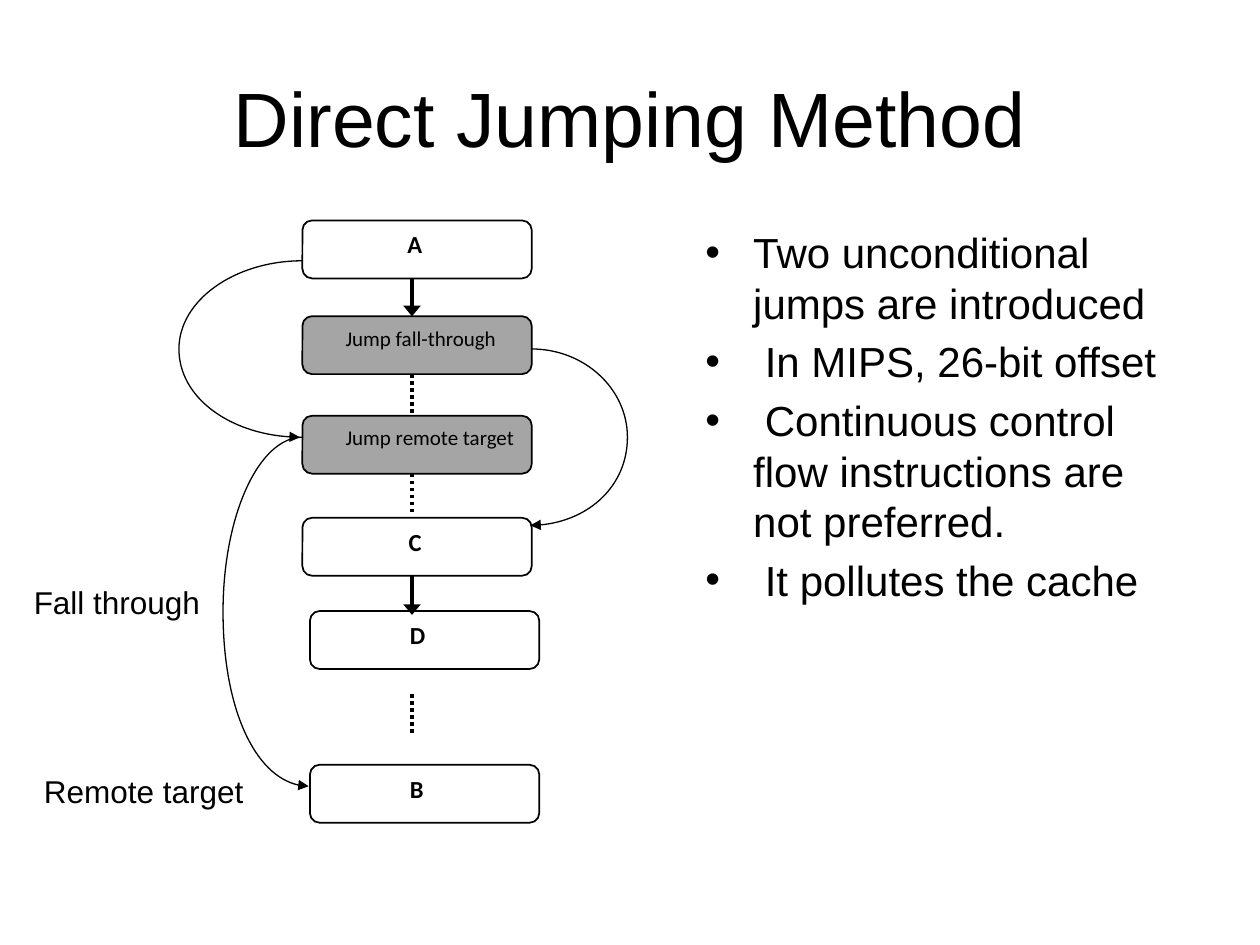
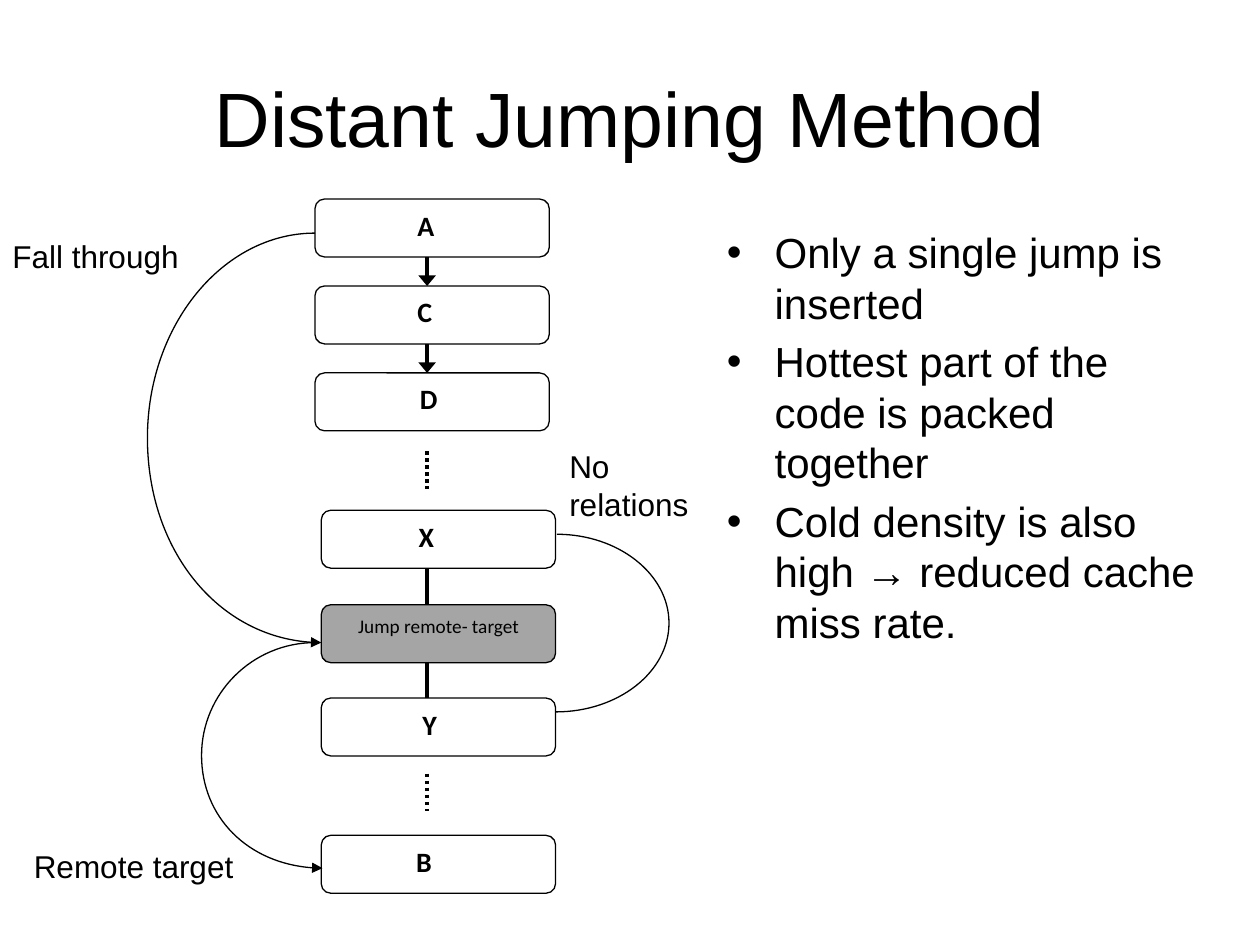
from dataclasses import dataclass

from lxml.etree import SubElement
from pptx import Presentation
from pptx.dml.color import RGBColor
from pptx.enum.dml import MSO_LINE
from pptx.enum.shapes import MSO_CONNECTOR, MSO_SHAPE
from pptx.enum.text import MSO_ANCHOR, MSO_AUTO_SIZE, PP_ALIGN
from pptx.oxml.ns import qn
from pptx.util import Inches, Pt


@dataclass(frozen=True)
class Theme:
    ink: RGBColor = RGBColor(0x00, 0x00, 0x00)
    paper: RGBColor = RGBColor(0xFF, 0xFF, 0xFF)
    jump: RGBColor = RGBColor(0xA5, 0xA5, 0xA5)
    font: str = "Arial"
    block_font: str = "Calibri"
    title: int = 44
    body: int = 24
    label: int = 18
    flow_line: float = 2
    arc_line: float = 0.75


THEME = Theme()
BLOCK_HEIGHT = 0.46
CORNER_INSET = 0.02
KAPPA = 0.55  # control point distance for a quarter of an ellipse


# Text
def add_run(p, text, size, font=THEME.font, bold=False):
    r = p.add_run()
    r.text = text
    r.font.name = font
    r.font.size = Pt(size)
    r.font.bold = bold
    r.font.color.rgb = THEME.ink


def add_box(s, x, y, w, h, wrap=True):
    tf = s.shapes.add_textbox(Inches(x), Inches(y), Inches(w), Inches(h)).text_frame
    tf.word_wrap = wrap
    return tf


def add_title(s, text):
    tf = add_box(s, 0.5, 0.3, 9, 1.25)
    tf.vertical_anchor = MSO_ANCHOR.MIDDLE
    p = tf.paragraphs[0]
    p.alignment = PP_ALIGN.CENTER
    add_run(p, text, THEME.title)


def add_bullets(s, x, items):
    tf = add_box(s, x, 1.75, 4, 4.95)
    for i, text in enumerate(items):
        p = tf.add_paragraph() if i else tf.paragraphs[0]
        p.space_before = Pt(0.2 * THEME.body)
        pPr = p._p.get_or_add_pPr()
        pPr.set("marL", str(Inches(0.38)))
        pPr.set("indent", str(-Inches(0.38)))
        SubElement(pPr, qn("a:buFont"), typeface=THEME.font)
        SubElement(pPr, qn("a:buChar"), char="•")
        add_run(p, text, THEME.body)


def add_label(s, text, x, y, w, h=0.4, wrap=False):
    tf = add_box(s, x, y, w, h, wrap)
    tf.auto_size = MSO_AUTO_SIZE.SHAPE_TO_FIT_TEXT
    add_run(tf.paragraphs[0], text, THEME.label)


# Flow chart parts
def style_line(line, width, head_width=None):
    line.color.rgb = THEME.ink
    line.width = Pt(width)
    if head_width:
        SubElement(line._get_or_add_ln(), qn("a:tailEnd"), type="triangle", w=head_width)


def add_block(s, text, x, y, w, text_x, size, line_width):
    """A basic block; one-letter names are bold, inserted jumps are grey."""
    is_jump = len(text) > 1
    sp = s.shapes.add_shape(MSO_SHAPE.ROUNDED_RECTANGLE, Inches(x), Inches(y),
                            Inches(w), Inches(BLOCK_HEIGHT))
    sp.shadow.inherit = False
    sp.fill.solid()
    sp.fill.fore_color.rgb = THEME.jump if is_jump else THEME.paper
    style_line(sp.line, line_width)
    tf = sp.text_frame
    tf.word_wrap = True
    tf.vertical_anchor = MSO_ANCHOR.TOP
    tf.margin_left = Inches(text_x - x - CORNER_INSET)
    tf.margin_right = 0
    p = tf.paragraphs[0]
    p.alignment = PP_ALIGN.LEFT
    p.space_after = Pt(10)
    add_run(p, text, size, THEME.block_font, bold=not is_jump)


def add_flow(s, x, top, bottom, arrow=False, dotted=False):
    cx = s.shapes.add_connector(MSO_CONNECTOR.STRAIGHT, Inches(x), Inches(top),
                                Inches(x), Inches(bottom))
    if dotted:
        cx.line.dash_style = MSO_LINE.ROUND_DOT
    style_line(cx.line, THEME.flow_line, "lg" if arrow else None)
    SubElement(cx._element.spPr, qn("a:effectLst"))


def add_arc(s, x, top, bottom, bulge_x, end_x, arrow=True):
    """Two Bézier quarters from (x, top) out to bulge_x and back to (end_x, bottom)."""
    middle = (top + bottom) / 2
    dx, dy = KAPPA * (bulge_x - x), KAPPA * (bottom - top) / 2
    points = [(x + dx, top), (bulge_x, middle - dy), (bulge_x, middle),
              (bulge_x, middle + dy), (x + dx, bottom), (end_x, bottom)]
    fb = s.shapes.build_freeform(Inches(x), Inches(top))
    fb.add_line_segments([(Inches(px), Inches(py)) for px, py in points], close=False)
    sp = fb.convert_to_shape()
    # Turn each three straight segments into one curve
    outline = sp._element.spPr.find(".//" + qn("a:path"))
    segments = outline.findall(qn("a:lnTo"))
    for i in range(0, len(segments), 3):
        curve = SubElement(outline, qn("a:cubicBezTo"))
        for segment in segments[i:i + 3]:
            curve.append(segment[0])
            outline.remove(segment)
    sp.shadow.inherit = False
    sp.fill.background()
    style_line(sp.line, THEME.arc_line, "med" if arrow else None)


# Slides
def add_direct_jumping(s):
    add_title(s, "Direct Jumping Method")
    for text, x, y, text_x, size in [
        ("A", 2.4, 1.75, 3.23, 14),
        ("Jump fall-through", 2.4, 2.51, 2.74, 12),
        ("Jump remote target", 2.4, 3.3, 2.74, 12),
        ("C", 2.4, 4.11, 3.24, 14),
        ("D", 2.46, 4.85, 3.25, 14),
        ("B", 2.46, 6.07, 3.25, 14),
    ]:
        add_block(s, text, x, y, 1.82, text_x, size, 1)

    for top, bottom in [(2.21, 2.51), (4.57, 4.88)]:
        add_flow(s, 3.27, top, bottom, arrow=True)
    for top in (2.97, 3.76, 5.51):
        add_flow(s, 3.27, top, top + 0.33, dotted=True)

    add_arc(s, 2.4, 2.07, 3.47, 1.42, 2.38)
    add_arc(s, 2.4, 3.47, 6.24, 1.77, 2.45)
    add_arc(s, 4.22, 2.77, 4.17, 4.98, 4.21)

    add_label(s, "Fall through", 0.17, 4.58, 1.53)
    add_label(s, "Remote target", 0.25, 6.08, 1.8)
    add_bullets(s, 5.5, [
        "Two unconditional jumps are introduced",
        " In MIPS, 26-bit offset",
        " Continuous control flow instructions are not preferred.",
        " It pollutes the cache",
    ])


def add_distant_jumping(s):
    add_title(s, "Distant Jumping Method")
    add_bullets(s, 5.67, [
        "Only a single jump is inserted",
        "Hottest part of the code is packed together",
        "Cold density is also high → reduced cache miss rate.",
    ])
    for text, x, y, text_x, size in [
        ("A", 2.5, 1.58, 3.31, 16),
        ("C", 2.5, 2.27, 3.31, 16),
        ("D", 2.5, 2.96, 3.33, 16),
        ("X", 2.55, 4.05, 3.32, 16),
        ("Jump remote- target", 2.55, 4.8, 2.84, 11),
        ("Y", 2.55, 5.54, 3.35, 16),
        ("B", 2.55, 6.63, 3.3, 16),
    ]:
        add_block(s, text, x, y, 1.86, text_x, size, 0.75)

    for top in (2.04, 2.73):
        add_flow(s, 3.39, top, top + 0.23, arrow=True)
    for top in (3.58, 6.14):
        add_flow(s, 3.39, top, top + 0.3, dotted=True)
    for top in (4.51, 5.25):
        add_flow(s, 3.39, top, top + 0.29)

    add_arc(s, 2.5, 1.85, 5.1, 1.17, 2.55)
    add_arc(s, 2.5, 5.1, 6.89, 1.6, 2.56)
    add_arc(s, 4.42, 4.24, 5.65, 5.31, 4.41, arrow=False)

    add_label(s, "Fall through", 0, 1.83, 1.53)
    add_label(s, "Remote target", 0.17, 6.67, 1.8)
    add_label(s, "No relations", 4.42, 3.5, 1.17, 0.71, wrap=True)


def main():
    prs = Presentation()
    prs.slide_width, prs.slide_height = Inches(10), Inches(7.5)
    blank = prs.slide_layouts[6]
    for build in (add_direct_jumping, add_distant_jumping):
        build(prs.slides.add_slide(blank))
    prs.save("out.pptx")


if __name__ == "__main__":
    main()
